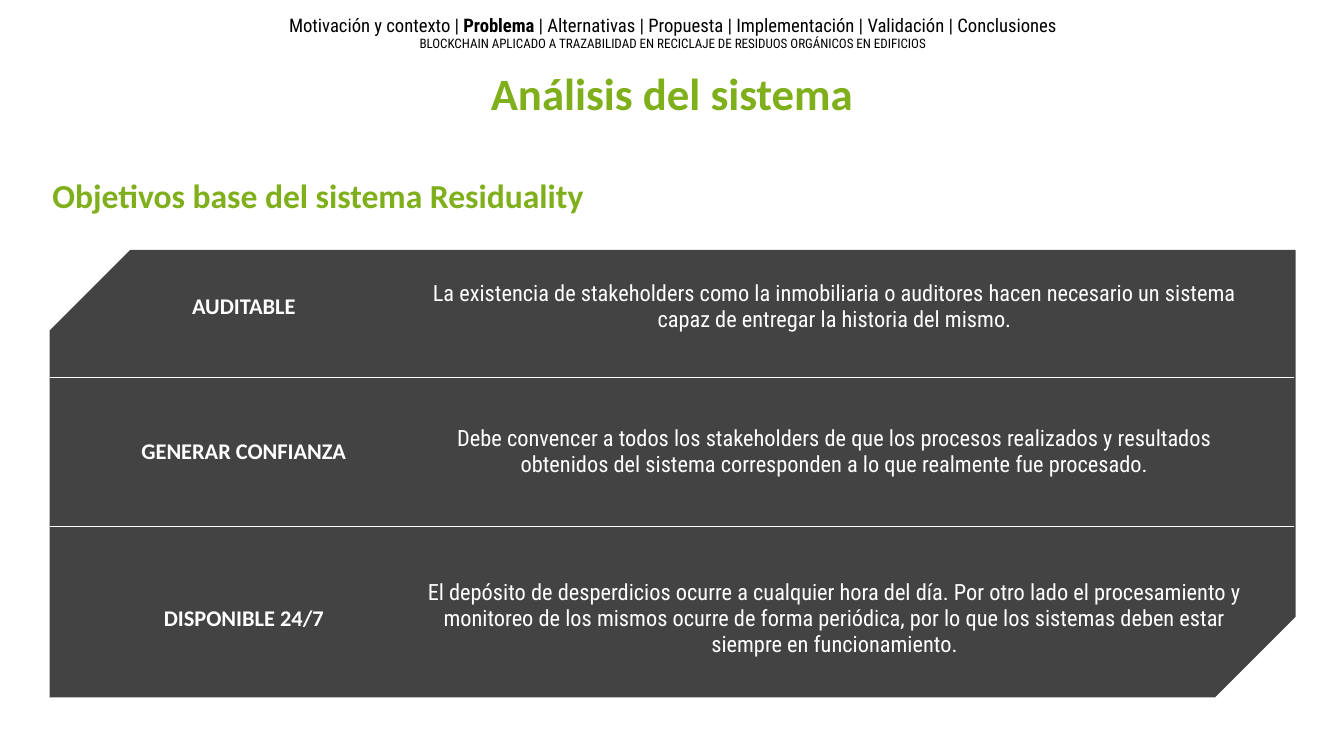
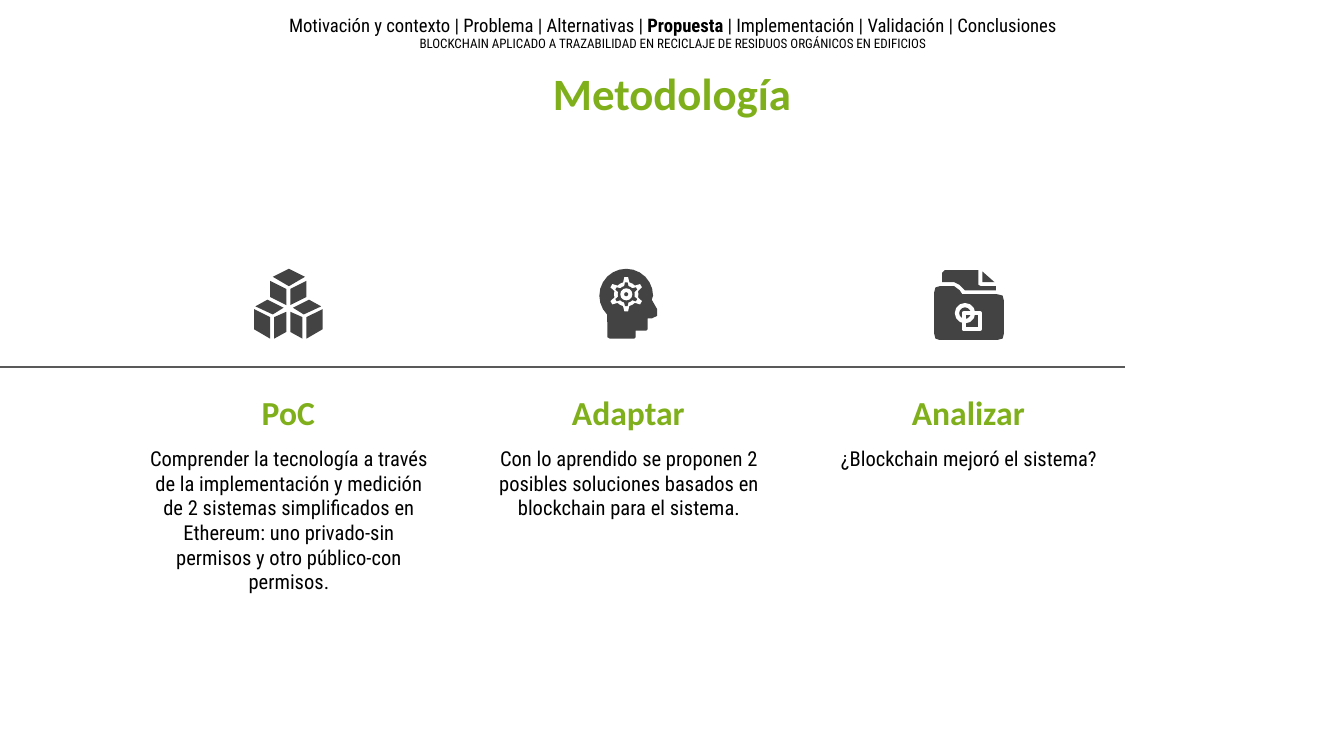
from math import cos, radians, sin

from pptx import Presentation
from pptx.dml.color import RGBColor
from pptx.enum.shapes import MSO_CONNECTOR, MSO_SHAPE
from pptx.enum.text import MSO_ANCHOR, MSO_AUTO_SIZE, PP_ALIGN
from pptx.oxml.ns import qn
from pptx.oxml.xmlchemy import OxmlElement
from pptx.util import Inches, Pt

GREEN = RGBColor(0x7F, 0xAF, 0x1B)
DARK = RGBColor(0x43, 0x43, 0x43)
GREY = RGBColor(0x59, 0x59, 0x59)
WHITE = RGBColor(0xFF, 0xFF, 0xFF)
BLACK = RGBColor(0, 0, 0)
HEADING_FONT = "Calibri"
BODY_FONT = "Roboto Condensed"

SECTIONS = ["Motivación y contexto", "Problema", "Alternativas", "Propuesta",
            "Implementación", "Validación", "Conclusiones"]
THESIS = "BLOCKCHAIN APLICADO A TRAZABILIDAD EN RECICLAJE DE RESIDUOS ORGÁNICOS EN EDIFICIOS"


def write(holder, text, size, font, color, bold=False, align=PP_ALIGN.CENTER,
          anchor=MSO_ANCHOR.TOP, box=None):
    """Fill a text box, placeholder or cell with one formatted paragraph."""
    if box:
        holder.left, holder.top, holder.width, holder.height = map(Inches, box)
        holder.text_frame.auto_size = MSO_AUTO_SIZE.NONE
        holder.text_frame.word_wrap = True
    frame = holder.text_frame
    frame.text = text
    target = frame if box else holder
    target.vertical_anchor = anchor
    target.margin_left = target.margin_right = Inches(0.1)
    target.margin_top = target.margin_bottom = Inches(0.1)
    paragraph = frame.paragraphs[0]
    paragraph.alignment = align
    paragraph.space_before = Pt(0)
    for run in paragraph.runs:
        run.font.size = Pt(size)
        run.font.name = font
        run.font.bold = bold
        run.font.color.rgb = color


def draw_outline(slide, points):
    """Draw a closed dark polygon through points given in inches."""
    corners = [(Inches(x), Inches(y)) for x, y in points]
    builder = slide.shapes.build_freeform(*corners[0])
    builder.add_line_segments(corners[1:], close=True)
    outline = builder.convert_to_shape()
    outline.shadow.inherit = False
    outline.fill.solid()
    outline.fill.fore_color.rgb = DARK
    outline.line.fill.background()


# Widescreen 16:9 page
prs = Presentation()
prs.slide_width = Inches(10)
prs.slide_height = prs.slide_width * 9 // 16
analysis = prs.slides.add_slide(prs.slide_layouts[0])
method = prs.slides.add_slide(prs.slide_layouts[5])

# Title and section header on both slides
for slide, title, current in [(analysis, "Análisis del sistema", "Problema"),
                              (method, "Metodología", "Propuesta")]:
    write(slide.shapes.title, title, 24, HEADING_FONT, GREEN, bold=True,
          box=(2.15, 0.39, 5.7, 1.03 if slide is analysis else 0.57))
    header = slide.shapes.add_textbox(0, 0, 0, 0)
    before, after = " | ".join(SECTIONS).split(current)
    write(header, before, 10, BODY_FONT, BLACK, box=(1.4, 0, 7.21, 0.39))
    breadcrumb = header.text_frame.paragraphs[0]
    for text, bold in [(current, True), (after, False)]:
        run = breadcrumb.add_run()
        run.text = text
        run.font.size = Pt(10)
        run.font.name = BODY_FONT
        run.font.bold = bold
        run.font.color.rgb = BLACK
    thesis = header.text_frame.add_paragraph()
    thesis.text = THESIS
    thesis.alignment = PP_ALIGN.CENTER
    for run in thesis.runs:
        run.font.size = Pt(7)
        run.font.name = BODY_FONT
        run.font.color.rgb = BLACK

# Slide 1: subtitle and dark panel
write(analysis.placeholders[1], "Objetivos base del sistema Residuality", 18,
      HEADING_FONT, GREEN, bold=True, align=PP_ALIGN.LEFT,
      anchor=MSO_ANCHOR.BOTTOM, box=(0.29, 1.23, 5.34, 0.47))
panel = analysis.shapes.add_shape(MSO_SHAPE.SNIP_2_DIAG_RECTANGLE, Inches(0.37),
                                  Inches(1.86), Inches(9.27), Inches(3.33))
panel.adjustments[0], panel.adjustments[1] = 0.18, 0
panel.shadow.inherit = False
panel.fill.solid()
panel.fill.fore_color.rgb = DARK
panel.line.fill.background()

# Slide 1: table of goals
goals = [
    (0.84, "AUDITABLE",
     "La existencia de stakeholders como la inmobiliaria o auditores hacen necesario "
     "un sistema capaz de entregar la historia del mismo."),
    (1.32, "GENERAR CONFIANZA",
     "Debe convencer a todos los stakeholders de que los procesos realizados y "
     "resultados obtenidos del sistema corresponden a lo que realmente fue procesado."),
    (1.17, "DISPONIBLE 24/7",
     "El depósito de desperdicios ocurre a cualquier hora del día. Por otro lado el "
     "procesamiento y monitoreo de los mismos ocurre de forma periódica, por lo que "
     "los sistemas deben estar siempre en funcionamiento."),
]
goal_frame = analysis.shapes.add_table(len(goals), 2, Inches(0.61), Inches(1.86),
                                       Inches(8.79), Inches(3.33))
goal_table = goal_frame.table
goal_table.first_row = goal_table.horz_banding = False
for style_id in goal_frame._element.iter(qn("a:tableStyleId")):
    style_id.text = "{2D5ABB26-0587-4C30-8999-92F81FD0307C}"  # no style, no grid
goal_table.columns[0].width = Inches(2.41)
goal_table.columns[1].width = Inches(6.38)
for row, (height, goal, reason) in enumerate(goals):
    goal_table.rows[row].height = Inches(height)
    for column, (text, font) in enumerate([(goal, HEADING_FONT), (reason, BODY_FONT)]):
        cell = goal_table.cell(row, column)
        cell.fill.background()
        write(cell, text, 12, font, WHITE, bold=column == 0, anchor=MSO_ANCHOR.MIDDLE)

# Row dividers on slide 1, timeline on slide 2
for slide, start, end, y, color in [(analysis, 0.37, 9.63, 2.81, WHITE),
                                    (analysis, 0.37, 9.63, 3.92, WHITE),
                                    (method, 8.37, 0, 2.73, GREY)]:
    rule = slide.shapes.add_connector(MSO_CONNECTOR.STRAIGHT, Inches(start), Inches(y),
                                      Inches(end), Inches(y))
    rule.line.color.rgb = color
    rule.line.width = Pt(0.75)
    rule._element.spPr.append(OxmlElement("a:effectLst"))

# Slide 2: three steps
steps = [
    ("PoC", "Comprender la tecnología a través de la implementación y medición de 2 "
            "sistemas simplificados en Ethereum: uno privado-sin permisos y otro "
            "público-con permisos."),
    ("Adaptar", "Con lo aprendido se proponen 2 posibles soluciones basados en "
                "blockchain para el sistema."),
    ("Analizar", "¿Blockchain mejoró el sistema?"),
]
for index, (step, description) in enumerate(steps):
    left = 0.75 + 2.53 * index
    write(method.shapes.add_textbox(0, 0, 0, 0), step, 18, HEADING_FONT, GREEN,
          bold=True, anchor=MSO_ANCHOR.BOTTOM, box=(left, 2.65, 2.79, 0.67))
    write(method.shapes.add_textbox(0, 0, 0, 0), description, 11, BODY_FONT, BLACK,
          box=(left + 0.24, 3.22, 2.32, 1.57))

# Cubes icon: left faces, each mirrored to the right, and the top face
left_faces = [
    [(2.01, 2.09), (2.01, 2.21), (2.13, 2.27), (2.13, 2.15)],
    [(2.13, 2.32), (2.04, 2.36), (2.04, 2.52), (2.13, 2.47)],
    [(1.99, 2.23), (1.9, 2.28), (2.03, 2.34), (2.11, 2.29)],
    [(1.89, 2.3), (1.89, 2.45), (2.01, 2.52), (2.01, 2.36)],
]
for face in left_faces:
    draw_outline(method, face)
    draw_outline(method, [(4.29 - x, y) for x, y in face])
draw_outline(method, [(2.15, 2), (2.03, 2.06), (2.15, 2.13), (2.27, 2.06)])

# Head icon: round skull, then face and neck, with a gear inside
skull = [(4.66 + 0.2 * cos(radians(a)), 2.2 + 0.2 * sin(radians(a)))
         for a in range(135, 361, 15)]
draw_outline(method, skull + [(4.85, 2.23), (4.89, 2.3), (4.89, 2.35), (4.85, 2.37),
                              (4.82, 2.37), (4.82, 2.45), (4.81, 2.46), (4.73, 2.46),
                              (4.73, 2.51), (4.72, 2.52), (4.54, 2.52), (4.52, 2.51)])
for kind, size, color in [(MSO_SHAPE.GEAR_6, 0.26, WHITE), (MSO_SHAPE.GEAR_6, 0.18, DARK),
                          (MSO_SHAPE.OVAL, 0.09, WHITE), (MSO_SHAPE.OVAL, 0.03, DARK)]:
    gear = method.shapes.add_shape(kind, Inches(4.66 - size / 2), Inches(2.19 - size / 2),
                                   Inches(size), Inches(size))
    gear.shadow.inherit = False
    gear.fill.solid()
    gear.fill.fore_color.rgb = color
    gear.line.fill.background()

# Folder icon: page corner, page, folder, and the two figures on it
draw_outline(method, [(7.31, 2.02), (7.31, 2.1), (7.4, 2.1)])
draw_outline(method, [(7.03, 2.01), (7.01, 2.03), (7.01, 2.1), (7.1, 2.1), (7.14, 2.12),
                      (7.18, 2.16), (7.41, 2.16), (7.41, 2.13), (7.3, 2.13),
                      (7.28, 2.12), (7.28, 2.01)])
draw_outline(method, [(6.99, 2.13), (6.96, 2.14), (6.95, 2.18), (6.95, 2.48), (6.96, 2.52),
                      (6.99, 2.53), (7.42, 2.53), (7.46, 2.52), (7.47, 2.48), (7.47, 2.24),
                      (7.46, 2.2), (7.42, 2.19), (7.16, 2.19), (7.14, 2.16), (7.1, 2.13)])
for kind, x, y in [(MSO_SHAPE.OVAL, 7.12, 2.27), (MSO_SHAPE.RECTANGLE, 7.17, 2.33)]:
    figure = method.shapes.add_shape(kind, Inches(x), Inches(y), Inches(0.12), Inches(0.12))
    figure.shadow.inherit = False
    figure.fill.background()
    figure.line.color.rgb = WHITE
    figure.line.width = Pt(2.25)

prs.save("out.pptx")
